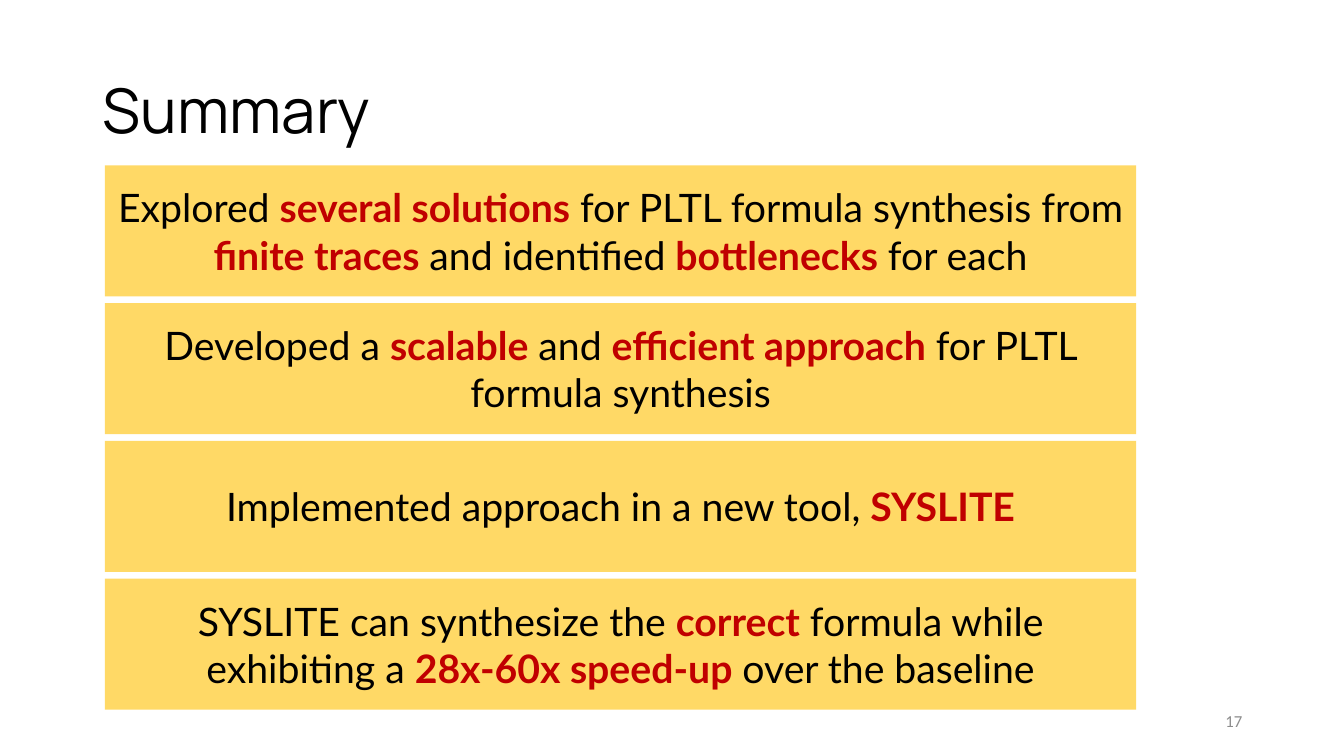
from pptx import Presentation, util as u
from pptx.dml.color import RGBColor
from pptx.enum import shapes, text

HUES = {"ink": "000000", "key": "C00000", "band": "FFD966", "page": "8C8C8C"}

POINTS = [
    "Explored *several solutions* for PLTL formula synthesis from "
    "*finite traces* and identified *bottlenecks* for each",
    "Developed a *scalable* and *efficient approach* for PLTL formula synthesis",
    "Implemented approach in a new tool, *SYSLITE*",
    "SYSLITE can synthesize the *correct* formula while exhibiting a "
    "*28x-60x speed-up* over the baseline",
]


class Deck:
    def __init__(self):
        self.prs = Presentation()
        self.prs.slide_width = u.Inches(13.33)
        self.prs.slide_height = u.Inches(7.5)
        self.slide = self.prs.slides.add_slide(self.prs.slide_layouts[5])

    def style(self, run, face, size, hue, bold=False):
        font = run.font
        font.name, font.size, font.bold = face, u.Pt(size), bold
        font.color.rgb = RGBColor.from_string(HUES[hue])

    def frame(self, shape, align):
        """Wrap and centre the text vertically; return its first paragraph."""
        box = shape.text_frame
        box.word_wrap = True
        box.auto_size = text.MSO_AUTO_SIZE.NONE
        box.vertical_anchor = text.MSO_ANCHOR.MIDDLE
        para = box.paragraphs[0]
        para.alignment = align
        return para

    def title(self, words, x, y, w, h):
        shape = self.slide.shapes.title
        shape.left, shape.top = u.Inches(x), u.Inches(y)
        shape.width, shape.height = u.Inches(w), u.Inches(h)
        para = self.frame(shape, text.PP_ALIGN.LEFT)
        para.text = words
        para.line_spacing = 0.9
        self.style(para.runs[0], "Manrope", 44, "ink")

    def number(self, words, x, y, w, h):
        shape = self.slide.shapes.add_textbox(
            u.Inches(x), u.Inches(y), u.Inches(w), u.Inches(h))
        para = self.frame(shape, text.PP_ALIGN.RIGHT)
        para.text = words
        self.style(para.runs[0], "Calibri", 12, "page")

    def band(self, words, x, y, w, h):
        """Draw a filled band; words between asterisks are stressed."""
        shape = self.slide.shapes.add_shape(
            shapes.MSO_SHAPE.RECTANGLE,
            u.Inches(x), u.Inches(y), u.Inches(w), u.Inches(h))
        shape.shadow.inherit = False
        shape.fill.solid()
        shape.fill.fore_color.rgb = RGBColor.from_string(HUES["band"])
        shape.line.fill.background()
        para = self.frame(shape, text.PP_ALIGN.CENTER)
        for i, part in enumerate(words.split("*")):
            if part:
                run = para.add_run()
                run.text = part
                key = i % 2 == 1
                self.style(run, "Lato", 28, "key" if key else "ink", key)


def main():
    deck = Deck()
    deck.title("Summary", 0.92, 0.4, 11.5, 1.45)
    deck.number("17", 9.42, 6.95, 3, 0.4)
    top, last = 1.64, 5.74
    step = (last - top) / (len(POINTS) - 1)
    for i, words in enumerate(POINTS):
        deck.band(words, 1.04, top + i * step, 10.23, 1.3)
    deck.prs.save("out.pptx")


if __name__ == "__main__":
    main()
